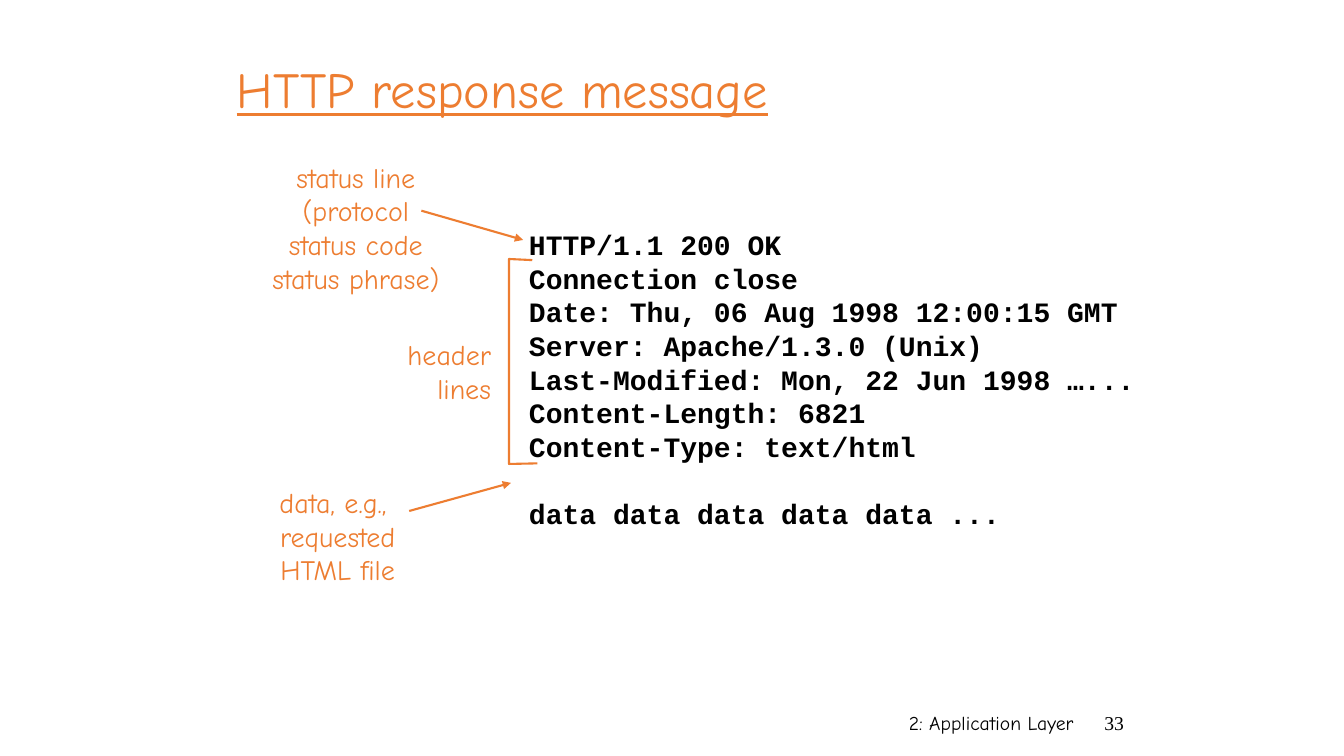
from lxml import etree
from pptx import Presentation
from pptx.dml.color import RGBColor
from pptx.enum.shapes import MSO_CONNECTOR
from pptx.enum.text import MSO_ANCHOR, PP_ALIGN as Align
from pptx.oxml.ns import qn
from pptx.util import Pt

# Content
ORANGE, BLACK = "ED7D31", "000000"
HAND, MONO, SERIF = "Comic Neue", "Courier New", "Times New Roman"

TITLE = "HTTP response message"
RESPONSE = [
    "HTTP/1.1 200 OK",
    "Connection close",
    "Date: Thu, 06 Aug 1998 12:00:15 GMT",
    "Server: Apache/1.3.0 (Unix)",
    "Last-Modified: Mon, 22 Jun 1998 …...",
    "Content-Length: 6821",
    "Content-Type: text/html",
    "data data data data data ...",
]
# Lines, box (left, top, width, height), alignment
LABELS = [
    (["status line", "(protocol", "status code", "status phrase)"],
     (179.3, 110.9, 149.8, 103), Align.CENTER),
    (["header", "lines"], (277.9, 237.6, 79.9, 55.4), Align.RIGHT),
    (["data, e.g., ", "requested", "HTML file"],
     (185.8, 343.4, 110.9, 79.2), Align.CENTER),
]
# Text, box, font
FOOTERS = [
    ("2: Application Layer", (545.8, 504, 228.2, 36), HAND),
    ("33", (774, 504, 36, 36), SERIF),
]
# Start and end points
ARROWS = [((301, 150.5), (373.7, 171.4)), ((292.3, 365), (365, 344.9))]
BRACKET = [(380.2, 185.8), (363.6, 185), (363.6, 331.4), (383.8, 331)]
LINE_PITCH = 24


def color(hex_code):
    return RGBColor.from_string(hex_code)


def add_text(slide, lines, box, font, size, hex_code, align=Align.LEFT, pitch=None):
    shape = slide.shapes.add_textbox(*map(Pt, box))
    frame = shape.text_frame
    frame.word_wrap = True
    frame.text = "\n".join(lines)
    for paragraph in frame.paragraphs:
        paragraph.alignment = align
        if pitch:
            paragraph.line_spacing = Pt(pitch)
        for run in paragraph.runs:
            run.font.name = font
            run.font.size = Pt(size)
            run.font.color.rgb = color(hex_code)
    return frame


def style_line(shape):
    shape.line.color.rgb = color(ORANGE)
    shape.line.width = Pt(1.5)


def add_arrow(slide, start, end):
    arrow = slide.shapes.add_connector(
        MSO_CONNECTOR.STRAIGHT, *map(Pt, start + end))
    style_line(arrow)
    etree.SubElement(arrow.line._get_or_add_ln(), qn("a:tailEnd"), type="triangle")
    etree.SubElement(arrow._element.spPr, qn("a:effectLst"))


def add_bracket(slide, points):
    first, *rest = [(Pt(x), Pt(y)) for x, y in points]
    builder = slide.shapes.build_freeform(*first)
    builder.add_line_segments(rest, close=False)
    bracket = builder.convert_to_shape()
    bracket.shadow.inherit = False
    bracket.fill.background()
    style_line(bracket)


def main():
    presentation = Presentation()
    presentation.slide_width, presentation.slide_height = Pt(960), Pt(540)
    slide = presentation.slides.add_slide(presentation.slide_layouts[6])

    # Footer and title
    for text, box, font in FOOTERS:
        add_text(slide, [text], box, font, 14, BLACK, Align.RIGHT)
    title = add_text(slide, [TITLE], (162, 18, 612, 90), HAND, 36, ORANGE)
    title.vertical_anchor = MSO_ANCHOR.MIDDLE
    title.paragraphs[0].runs[0].font.underline = True

    # Response message, with one line of space before the data
    response = add_text(slide, RESPONSE, (370.8, 156.2, 458.6, 223.2),
                        MONO, 20, BLACK, pitch=LINE_PITCH)
    response.margin_top = Pt(6.5)
    for paragraph in response.paragraphs:
        paragraph.runs[0].font.bold = True
    response.paragraphs[-1].space_before = Pt(LINE_PITCH)

    # Labels, arrows and the bracket around the header lines
    for lines, box, align in LABELS:
        add_text(slide, lines, box, HAND, 20, ORANGE, align, LINE_PITCH)
    for start, end in ARROWS:
        add_arrow(slide, start, end)
    add_bracket(slide, BRACKET)


    presentation.save("out.pptx")


if __name__ == "__main__":
    main()
